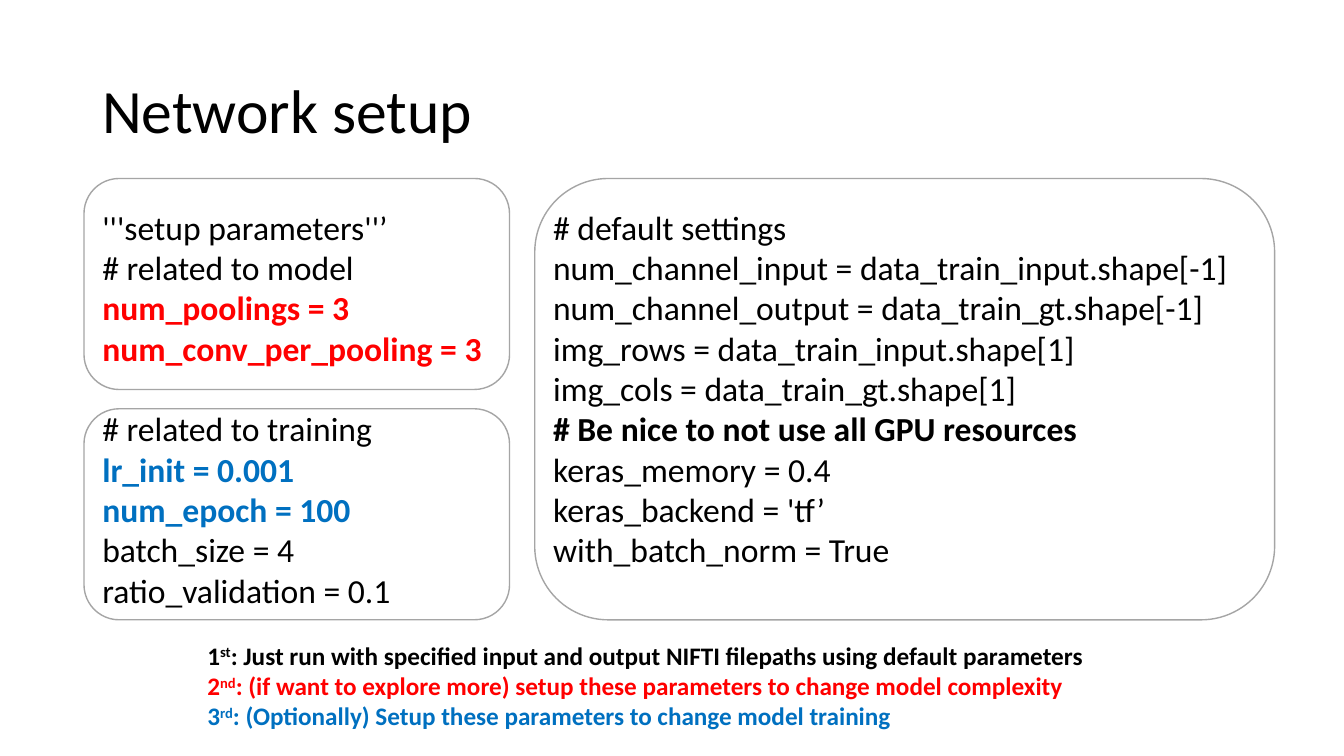
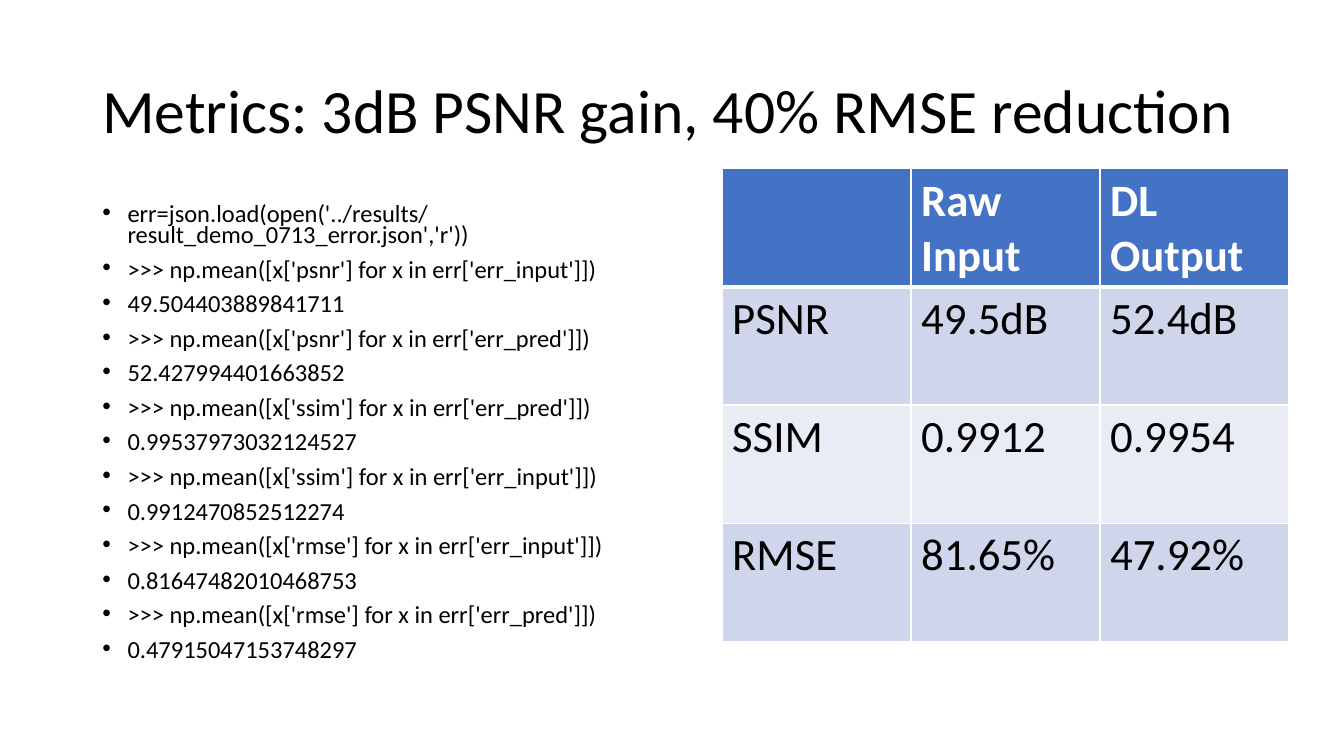
import pptx
import pptx.dml.color
import pptx.enum.shapes
import pptx.enum.text
import pptx.oxml
import pptx.oxml.ns
import pptx.util

Pt = pptx.util.Pt
RGBColor = pptx.dml.color.RGBColor

FONT = "Calibri"
BLACK = RGBColor(0x00, 0x00, 0x00)
WHITE = RGBColor(0xFF, 0xFF, 0xFF)
RED = RGBColor(0xFF, 0x00, 0x00)
BLUE = RGBColor(0x00, 0x70, 0xC0)
GRAY = RGBColor(0xA5, 0xA5, 0xA5)
HEADER_FILL = RGBColor(0x44, 0x72, 0xC4)
BAND_FILLS = (RGBColor(0xCF, 0xD5, 0xEA), RGBColor(0xE9, 0xEB, 0xF5))

SLIDE_SIZE = (960, 540)
TITLE_AREA = (66, 28.75, 828, 104.4)
BODY_LEFT, BODY_TOP = 66, 144
CODE_SIZE, CODE_LINE = 24, 28.8

# Each code line: text, colour, bold
MODEL_CODE = [
    ("'''setup parameters''’", BLACK, False),
    ("# related to model", BLACK, False),
    ("num_poolings = 3", RED, True),
    ("num_conv_per_pooling = 3", RED, True),
]
TRAINING_CODE = [
    ("# related to training", BLACK, False),
    ("lr_init = 0.001", BLUE, True),
    ("num_epoch = 100", BLUE, True),
    ("batch_size = 4", BLACK, False),
    ("ratio_validation = 0.1", BLACK, False),
]
DEFAULT_CODE = [
    ("# default settings", BLACK, False),
    ("num_channel_input = data_train_input.shape[-1]", BLACK, False),
    ("num_channel_output = data_train_gt.shape[-1]", BLACK, False),
    ("img_rows = data_train_input.shape[1]", BLACK, False),
    ("img_cols = data_train_gt.shape[1]", BLACK, False),
    ("# Be nice to not use all GPU resources", BLACK, True),
    ("keras_memory = 0.4", BLACK, False),
    ("keras_backend = 'tf’", BLACK, False),
    ("with_batch_norm = True", BLACK, False),
]
# Each step: number, ordinal ending, text, colour
STEPS = [
    ("1", "st", ": Just run with specified input and output NIFTI filepaths "
                "using default parameters", BLACK),
    ("2", "nd", ": (if want to explore more) setup these parameters "
                "to change model complexity", RED),
    ("3", "rd", ": (Optionally) Setup these parameters to change model training", BLUE),
]
METRIC_LOG = [
    "err=json.load(open('../results/result_demo_0713_error.json','r'))",
    ">>> np.mean([x['psnr'] for x in err['err_input']])",
    "49.504403889841711",
    ">>> np.mean([x['psnr'] for x in err['err_pred']])",
    "52.427994401663852",
    ">>> np.mean([x['ssim'] for x in err['err_pred']])",
    "0.99537973032124527",
    ">>> np.mean([x['ssim'] for x in err['err_input']])",
    "0.9912470852512274",
    ">>> np.mean([x['rmse'] for x in err['err_input']])",
    "0.81647482010468753",
    ">>> np.mean([x['rmse'] for x in err['err_pred']])",
    "0.47915047153748297",
]
METRICS = [
    ("", "Raw Input", "DL Output"),
    ("PSNR", "49.5dB", "52.4dB"),
    ("SSIM", "0.9912", "0.9954"),
    ("RMSE", "81.65%", "47.92%"),
]


def points(lengths):
    return [Pt(length) for length in lengths]


def style_font(para, size, color=BLACK, bold=False):
    para.font.name = FONT
    para.font.size = Pt(size)
    para.font.bold = bold
    para.font.color.rgb = color


def add_text_frame(slide, area):
    frame = slide.shapes.add_textbox(*points(area)).text_frame
    frame.word_wrap = True
    return frame


def add_paragraphs(frame, count):
    """Return the frame's first paragraph and as many new ones as needed."""
    return [frame.paragraphs[0]] + [frame.add_paragraph() for _ in range(count - 1)]


def add_titled_slide(deck, title):
    slide = deck.slides.add_slide(deck.slide_layouts[6])
    frame = add_text_frame(slide, TITLE_AREA)
    frame.vertical_anchor = pptx.enum.text.MSO_ANCHOR.MIDDLE
    para = frame.paragraphs[0]
    para.text = title
    para.line_spacing = 0.9
    style_font(para, 44)
    return slide


def add_panel(slide, area):
    panel = slide.shapes.add_shape(
        pptx.enum.shapes.MSO_SHAPE.ROUNDED_RECTANGLE, *points(area))
    panel.shadow.inherit = False
    panel.fill.solid()
    panel.fill.fore_color.rgb = WHITE
    panel.line.color.rgb = GRAY
    panel.line.width = Pt(1)


def add_code(slide, area, *blocks):
    """Write blocks of code lines, one line's height apart."""
    lines = [line for block in blocks for line in block]
    block_starts = [block[0] for block in blocks[1:]]
    paras = add_paragraphs(add_text_frame(slide, area), len(lines))
    for para, line in zip(paras, lines):
        text, color, bold = line
        para.text = text
        if line in block_starts:
            para.space_before = Pt(CODE_LINE)
        style_font(para, CODE_SIZE, color, bold)


def add_steps(slide, area):
    paras = add_paragraphs(add_text_frame(slide, area), len(STEPS))
    for para, (number, ending, text, color) in zip(paras, STEPS):
        for part in (number, ending, text):
            span = para.add_run()
            span.text = part
            if part == ending:
                span._r.get_or_add_rPr().set("baseline", "30000")
        style_font(para, 18, color, True)


def add_bullet(para, indent):
    properties = para._p.get_or_add_pPr()
    properties.set("marL", str(Pt(indent)))
    properties.set("indent", str(-Pt(indent)))
    for tag, name, value in (("buFont", "typeface", "Arial"), ("buChar", "char", "•")):
        element = pptx.oxml.parse_xml(
            f'<a:{tag} {pptx.oxml.ns.nsdecls("a")} {name}="{value}"/>')
        properties.append(element)


def add_log(slide, area):
    paras = add_paragraphs(add_text_frame(slide, area), len(METRIC_LOG))
    for para, text in zip(paras, METRIC_LOG):
        para.text = text
        para.line_spacing = 0.7
        para.space_before = Pt(10)
        add_bullet(para, 18)
        style_font(para, 17.5)


def set_borders(cell, widths):
    """Draw white borders; widths run left, right, top, bottom."""
    properties = cell._tc.get_or_add_tcPr()
    for position, (side, width) in enumerate(zip("LRTB", widths)):
        border = pptx.oxml.parse_xml(
            f'<a:ln{side} {pptx.oxml.ns.nsdecls("a")} w="{Pt(width)}">'
            f'<a:solidFill><a:srgbClr val="{WHITE}"/></a:solidFill></a:ln{side}>')
        properties.insert(position, border)


def add_metrics_table(slide, area):
    table = slide.shapes.add_table(
        len(METRICS), len(METRICS[0]), *points(area)).table
    for row_index, values in enumerate(METRICS):
        header = row_index == 0
        fill = HEADER_FILL if header else BAND_FILLS[(row_index - 1) % 2]
        widths = (1, 1, 3 if row_index == 1 else 1, 3 if header else 1)
        for column_index, value in enumerate(values):
            cell = table.cell(row_index, column_index)
            cell.fill.solid()
            cell.fill.fore_color.rgb = fill
            set_borders(cell, widths)
            if value:
                cell.text = value
                style_font(cell.text_frame.paragraphs[0], 32,
                           WHITE if header else BLACK, header)


def build_setup_slide(deck):
    slide = add_titled_slide(deck, "Network setup")
    top, height, gap = 127.5, 150.75, 13.75
    for panel_top in (top, top + height + gap):
        add_panel(slide, (60, panel_top, 304, height))
    add_panel(slide, (382, top, 528.5, 2 * height + gap))
    add_code(slide, (BODY_LEFT, BODY_TOP, 336, 343), MODEL_CODE, TRAINING_CODE)
    add_code(slide, (388, BODY_TOP, 541, 269), DEFAULT_CODE)
    add_steps(slide, (141, 453.75, 650, 73))


def build_metrics_slide(deck):
    slide = add_titled_slide(deck, "Metrics: 3dB PSNR gain, 40% RMSE reduction")
    add_log(slide, (BODY_LEFT, BODY_TOP, 422.5, 343))
    add_metrics_table(slide, (515.75, 120.5, 405, 337.6))


def main():
    deck = pptx.Presentation()
    deck.slide_width, deck.slide_height = points(SLIDE_SIZE)
    build_setup_slide(deck)
    build_metrics_slide(deck)
    deck.save("out.pptx")


if __name__ == "__main__":
    main()
